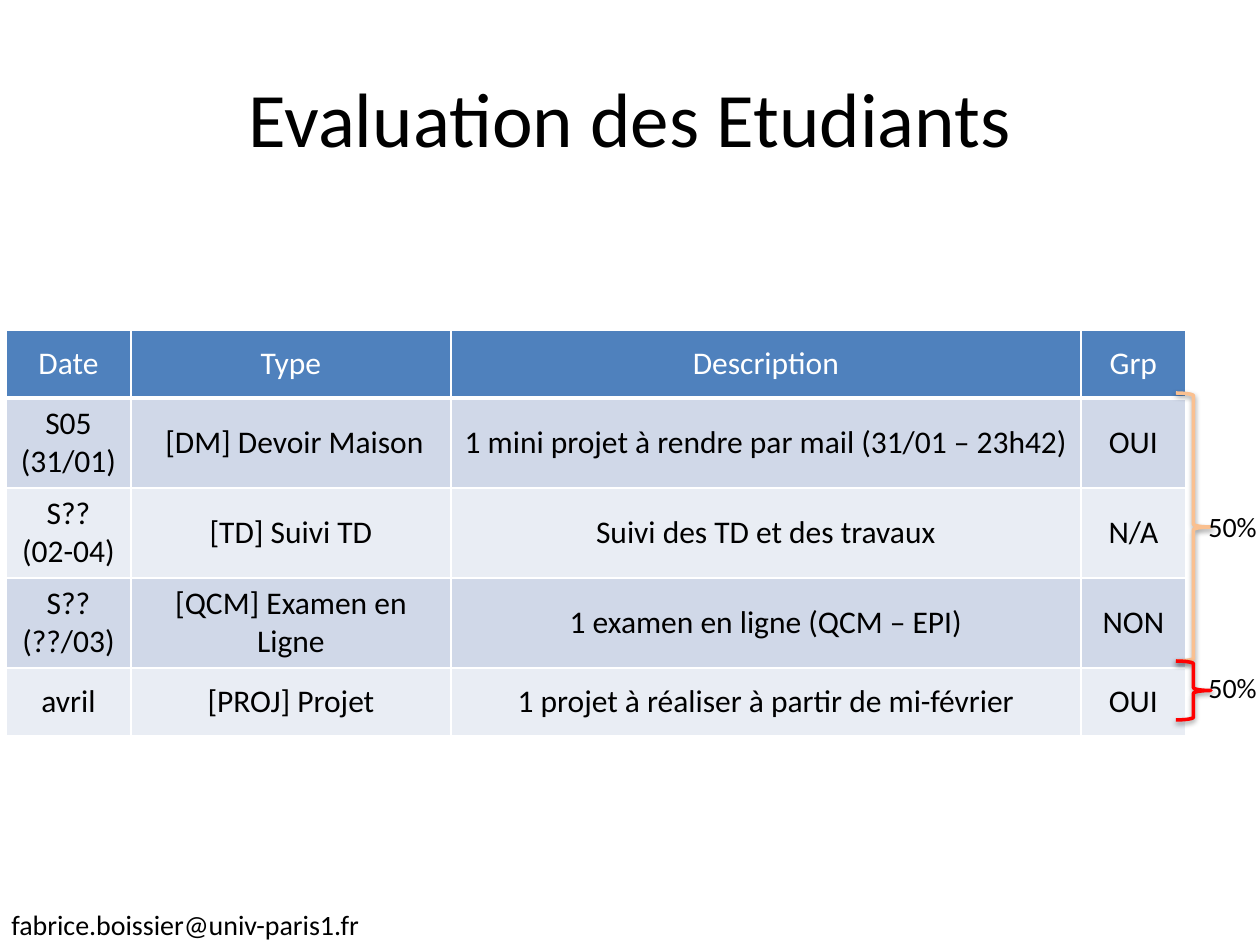
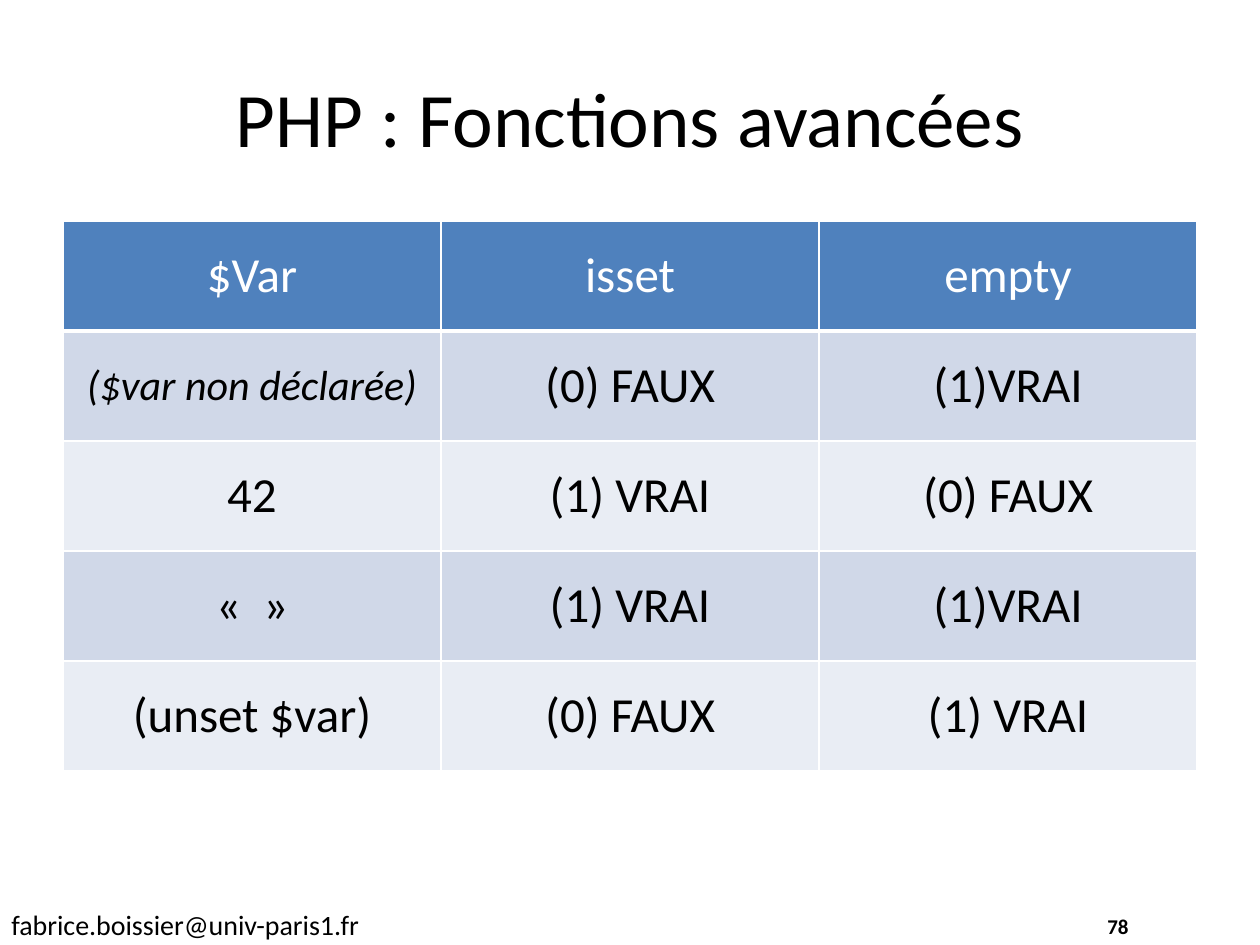
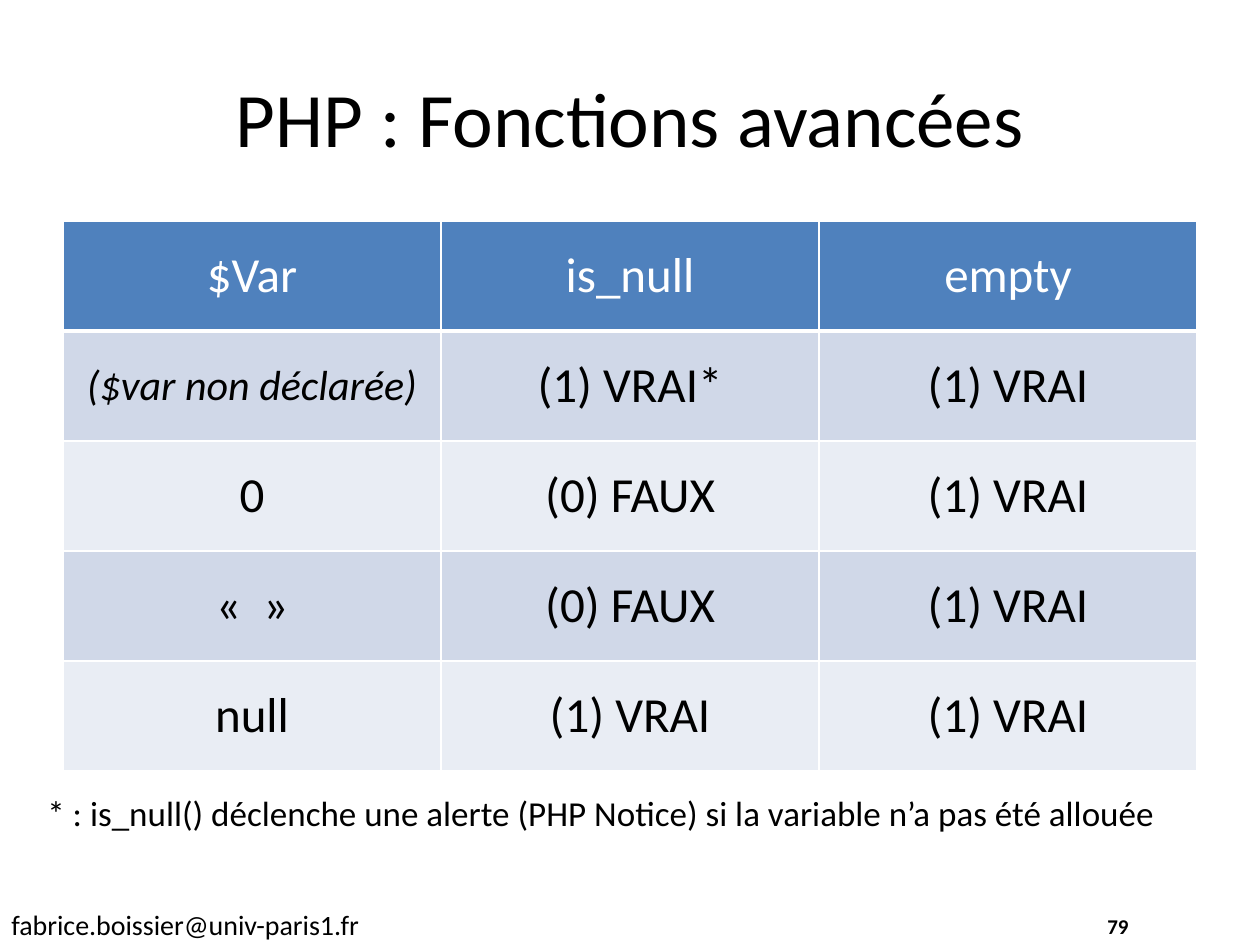
from lxml import etree
from pptx import Presentation
from pptx.dml.color import RGBColor
from pptx.enum import shapes, text
from pptx.oxml.ns import qn
from pptx import util as u

FONT = "Calibri"
BLACK = RGBColor(0, 0, 0)
WHITE = RGBColor(255, 255, 255)
HEADER_BLUE = RGBColor(0x4F, 0x81, 0xBD)
BAND_DARK = RGBColor(0xD0, 0xD8, 0xE8)
BAND_LIGHT = RGBColor(0xE9, 0xED, 0xF4)
ORANGE = RGBColor(0xFA, 0xC0, 0x90)
RED = RGBColor(255, 0, 0)
EMU_PER_PX = 914400 / 126

TITLE_BOX = (63, 38, 1134, 157)
FOOTER_BOX = (-1, 901, 383, 47)
NUMBER_BOX = (971, 901, 294, 50)
NOTE_BOX = (35, 785, 1191, 55)
GRADING_BOX = (6, 330, 1180, 406)
TRUTH_BOX = (63, 221, 1134, 550)

GRADING_COLUMNS = (125, 320, 630, 105)
GRADING_ROWS = (68, 90, 90, 90, 68)
GRADING = (
    ("Date", "Type", "Description", "Grp"),
    ("S05\v(31/01)", " [DM] Devoir Maison", "1 mini projet à rendre par mail (31/01 – 23h42)", "OUI"),
    ("S??\n(02-04)", "[TD] Suivi TD", "Suivi des TD et des travaux", "N/A"),
    ("S??\v(??/03)", "[QCM] Examen en Ligne", "1 examen en ligne (QCM – EPI)", "NON"),
    ("avril", "[PROJ] Projet", "1 projet à réaliser à partir de mi-février", "OUI"),
)
ISSET = (
    ("$Var", "isset", "empty"),
    ("($var non déclarée)", "(0) FAUX", "VRAI"),
    ("42", "(1) VRAI", "(0) FAUX"),
    ("«  »", "(1) VRAI", "VRAI"),
    ("(unset $var)", "(0) FAUX", "(1) VRAI"),
)
IS_NULL = (
    ("$Var", "is_null", "empty"),
    ("($var non déclarée)", "(1) VRAI*", " VRAI"),
    ("0", "(0) FAUX", " VRAI"),
    ("«  »", "(0) FAUX", " VRAI"),
    ("null", "(1) VRAI", " VRAI"),
)


def px(length):
    return u.Emu(round(length * EMU_PER_PX))


def place(box):
    return [px(length) for length in box]


def format_text(frame, size, color=BLACK, align=None, bold=False, italic=False):
    for para in frame.paragraphs:
        para.alignment = align
        for span in para.runs:
            font = span.font
            font.name, font.size, font.color.rgb = FONT, u.Pt(size), color
            font.bold, font.italic = bold, italic


def add_text(page, box, content, size, align=None, anchor=text.MSO_ANCHOR.TOP, wrap=True, bold=False):
    frame = page.shapes.add_textbox(*place(box)).text_frame
    frame.word_wrap = wrap
    frame.vertical_anchor = anchor
    frame.text = content
    format_text(frame, size, align=align, bold=bold)


def add_page(deck, title, number=None):
    page = deck.slides.add_slide(deck.slide_layouts[6])
    centred = {"align": text.PP_ALIGN.CENTER, "anchor": text.MSO_ANCHOR.MIDDLE}
    add_text(page, FOOTER_BOX, "fabrice.boissier@univ-paris1.fr", 16, wrap=False)
    add_text(page, TITLE_BOX, title, 44, **centred)
    if number:
        add_text(page, NUMBER_BOX, number, 12, bold=True, **centred)
    return page


def add_borders(cell, bottom):
    properties = cell._tc.get_or_add_tcPr()
    for side, points in (("L", 1), ("R", 1), ("T", 1), ("B", bottom)):
        line = etree.SubElement(properties, qn(f"a:ln{side}"), w=str(u.Pt(points)))
        fill = etree.SubElement(line, qn("a:solidFill"))
        etree.SubElement(fill, qn("a:srgbClr"), val=str(WHITE))


def add_grid(page, box, rows, widths, heights, size):
    table = page.shapes.add_table(len(rows), len(widths), *place(box)).table
    for column, width in zip(table.columns, widths):
        column.width = px(width)
    for index, (values, height) in enumerate(zip(rows, heights)):
        table.rows[index].height = px(height)
        header = index == 0
        band = HEADER_BLUE if header else (BAND_LIGHT, BAND_DARK)[index % 2]
        for cell, value in zip(table.rows[index].cells, values):
            add_borders(cell, 3 if header else 1)
            cell.fill.solid()
            cell.fill.fore_color.rgb = band
            cell.vertical_anchor = text.MSO_ANCHOR.MIDDLE
            cell.text_frame.text = value
            format_text(cell.text_frame, size, WHITE if header else BLACK, text.PP_ALIGN.CENTER)
    return table


def add_weight(page, box, color, label_top, adjustments):
    left, top, width, height = box
    brace = page.shapes.add_shape(shapes.MSO_SHAPE.RIGHT_BRACE, *place(box))
    for index, value in enumerate(adjustments):
        brace.adjustments[index] = value
    brace.fill.background()
    brace.line.color.rgb = color
    brace.line.width = u.Pt(2)
    brace.shadow.inherit = False
    effects = brace._element.spPr.find(qn("a:effectLst"))
    shadow = etree.SubElement(effects, qn("a:outerShdw"), blurRad=str(u.Pt(3.1)),
                              dist=str(u.Pt(1.6)), dir="5400000", rotWithShape="0")
    tint = etree.SubElement(shadow, qn("a:srgbClr"), val=str(BLACK))
    etree.SubElement(tint, qn("a:alpha"), val="38000")
    add_text(page, (left + 20, top + label_top, 79, 47), "50%", 16)


def number_paragraph(para):
    properties = para._p.get_or_add_pPr()
    properties.set("marL", str(px(48)))
    properties.set("indent", str(px(-48)))
    etree.SubElement(properties, qn("a:buAutoNum"), type="arabicParenBoth")


def build_grading(deck):
    page = add_page(deck, "Evaluation des Etudiants")
    add_grid(page, GRADING_BOX, GRADING, GRADING_COLUMNS, GRADING_ROWS, 18)
    left = GRADING_BOX[0] + 1170
    top = GRADING_BOX[1] + 63
    add_weight(page, (left, top, 35, 268), ORANGE, 110, (0.08, 0.5))
    add_weight(page, (left, top + 268, 35, 59), RED, 3, (0.08, 0.5))


def build_truth_table(deck, number, rows, numbered_rows, note=None):
    page = add_page(deck, "PHP : Fonctions avancées", number)
    width, height = TRUTH_BOX[2:]
    table = add_grid(page, TRUTH_BOX, rows, [width // 3] * 3, [height // len(rows)] * len(rows), 28)
    format_text(table.cell(1, 0).text_frame, 24, align=text.PP_ALIGN.CENTER, italic=True)
    for row in numbered_rows:
        number_paragraph(table.cell(row, 2).text_frame.paragraphs[0])
    if note:
        add_text(page, NOTE_BOX, note, 20)


def main():
    deck = Presentation()
    deck.slide_width, deck.slide_height = px(1260), px(945)
    build_grading(deck)
    build_truth_table(deck, "78", ISSET, (1, 3))
    build_truth_table(deck, "79", IS_NULL, (1, 2, 3, 4),
                      "* : is_null() déclenche une alerte (PHP Notice) si la variable n’a pas été allouée")
    deck.save("out.pptx")


if __name__ == "__main__":
    main()
